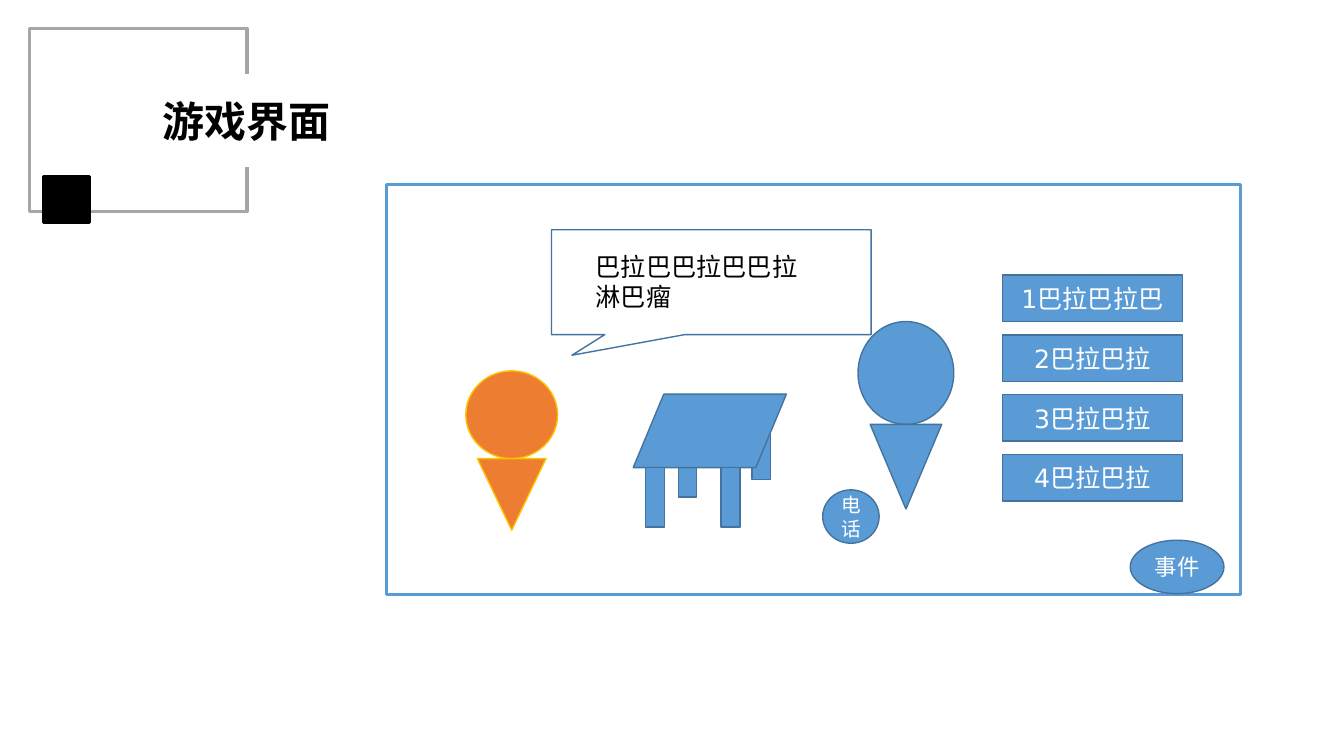
from dataclasses import dataclass

from pptx import Presentation
from pptx import util as u
from pptx.dml import color
from pptx.enum import shapes, text

SHAPE = shapes.MSO_SHAPE


@dataclass(frozen=True)
class Theme:
    font: str = "DejaVu Sans"
    black: str = "000000"
    white: str = "FFFFFF"
    grey: str = "A6A6A6"
    blue: str = "5B9BD5"
    navy: str = "43739E"
    orange: str = "ED7D31"
    gold: str = "FFC000"
    title: int = 30
    body: int = 18
    event: int = 16
    phone: int = 14
    thin: float = 1
    thick: float = 2.25


T = Theme()


def rgb(value):
    return color.RGBColor.from_string(value)


def write(sp, words, size, ink, align=text.PP_ALIGN.CENTER, bold=False):
    tf = sp.text_frame
    tf.word_wrap = True
    p = tf.paragraphs[0]
    p.add_run().text = words
    p.alignment = align
    p.font.name = T.font
    p.font.size = u.Pt(size)
    p.font.bold = bold
    p.font.color.rgb = rgb(ink)
    return tf


def draw(s, kind, box, fill=T.blue, line=T.navy, width=T.thin):
    sp = s.shapes.add_shape(kind, *map(u.Inches, box))
    sp.shadow.inherit = False
    if fill:
        sp.fill.solid()
        sp.fill.fore_color.rgb = rgb(fill)
    else:
        sp.fill.background()
    sp.line.color.rgb = rgb(line)
    sp.line.width = u.Pt(width)
    return sp


def label(s, kind, box, words, size):
    tf = write(draw(s, kind, box), words, size, T.white)
    tf.vertical_anchor = text.MSO_ANCHOR.MIDDLE


def add_title(s, box, words):
    x, y, w, h = box
    draw(s, SHAPE.RECTANGLE, box, T.white, T.grey, T.thick)
    draw(s, SHAPE.RECTANGLE, (x + 0.14, y + 1.47, 0.46, 0.46), T.black, T.black, T.thick)
    sp = draw(s, SHAPE.RECTANGLE, (x + 0.88, y + 0.47, 2.56, 0.89), T.white, T.white, T.thick)
    tf = write(sp, words, T.title, T.black, bold=True)
    tf.vertical_anchor = text.MSO_ANCHOR.MIDDLE


def add_person(s, box, head_h, body_w, fill=T.blue, line=T.navy):
    x, y, w, h = box
    person = s.shapes.add_group_shape()
    draw(person, SHAPE.OVAL, (x, y, w, head_h), fill, line)
    body = (x + (w - body_w) / 2, y + head_h, body_w, h - head_h)
    draw(person, SHAPE.ISOSCELES_TRIANGLE, body, fill, line).rotation = 180


def add_desk(s, box):
    x, y, w, h = box
    top_h, leg_w = 0.73, 0.18
    for dx, dy in ((0.45, 0.56), (1.18, 0.39)):
        draw(s, SHAPE.RECTANGLE, (x + dx, y + dy, leg_w, 0.46))
    draw(s, SHAPE.FLOWCHART_DATA, (x, y, w, top_h))
    for dx in (0.12, 0.87):
        draw(s, SHAPE.RECTANGLE, (x + dx, y + top_h, leg_w + 0.01, h - top_h))


def add_speech(s, box, words):
    x, y, w, h = box
    bubble = draw(s, SHAPE.RECTANGULAR_CALLOUT, box, None)
    bubble.adjustments[0] = -0.436
    bubble.adjustments[1] = 0.697
    tb = s.shapes.add_textbox(*map(u.Inches, (x + 0.34, y + 0.16, 2.38, 0.71)))
    tf = write(tb, words, T.body, T.black, text.PP_ALIGN.LEFT)
    tf.auto_size = text.MSO_AUTO_SIZE.SHAPE_TO_FIT_TEXT


def add_options(s, box, options):
    x, y, w, h = box
    button_h = 0.46
    pitch = (h - button_h) / (len(options) - 1)
    for i, words in enumerate(options):
        label(s, SHAPE.RECTANGLE, (x, y + i * pitch, w, button_h), f"{i + 1}{words}", T.body)


def add_game(s, box):
    x, y, w, h = box
    draw(s, SHAPE.RECTANGLE, box, None, T.blue, T.thick)
    add_person(s, (x + 0.79, y + 1.85, 0.91, 1.58), 0.87, 0.68, T.orange, T.gold)
    add_desk(s, (x + 2.45, y + 2.08, 1.52, 1.32))
    add_person(s, (x + 4.68, y + 1.36, 0.95, 1.86), 1.02, 0.71)
    add_speech(s, (x + 1.64, y + 0.45, 3.17, 1.04), "巴拉巴巴拉巴巴拉淋巴瘤")
    add_options(s, (x + 6.11, y + 0.9, 1.79, 2.24),
                ["巴拉巴拉巴", "巴拉巴拉", "巴拉巴拉", "巴拉巴拉"])
    label(s, SHAPE.OVAL, (x + 7.38, y + 3.53, 0.93, 0.53), "事件", T.event)
    label(s, SHAPE.OVAL, (x + 4.33, y + 3.03, 0.56, 0.53), "电话", T.phone)


def main():
    prs = Presentation()
    prs.slide_width = u.Inches(13.33)
    prs.slide_height = u.Inches(7.5)
    s = prs.slides.add_slide(prs.slide_layouts[6])
    add_title(s, (0.29, 0.28, 2.16, 1.82), "游戏界面")
    add_game(s, (3.83, 1.83, 8.47, 4.07))
    prs.save("out.pptx")


if __name__ == "__main__":
    main()
